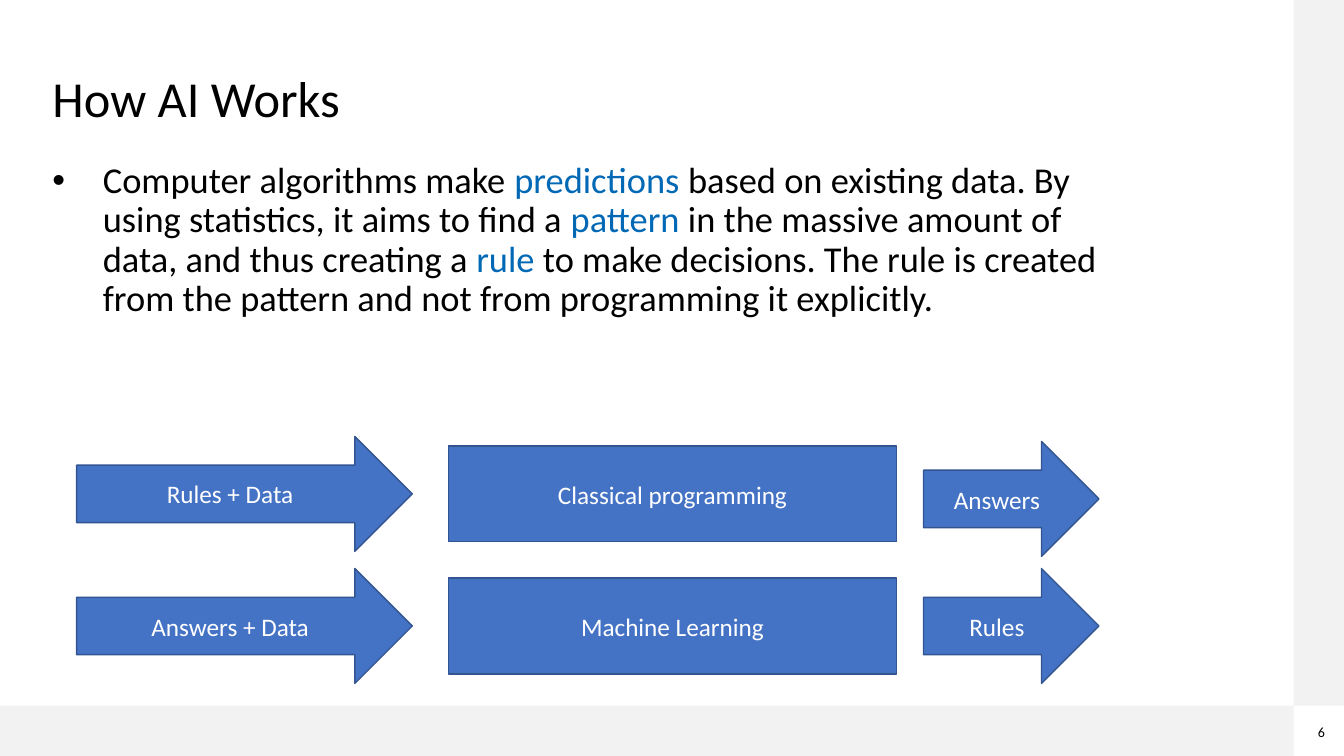
from lxml.etree import SubElement
from pptx import Presentation
from pptx.dml.color import RGBColor
from pptx.enum.shapes import MSO_SHAPE
from pptx.enum.text import MSO_ANCHOR, MSO_AUTO_SIZE, PP_ALIGN
from pptx.oxml.ns import qn
from pptx.util import Inches, Pt

COLORS = {"text": "000000", "accent": "0068B5", "band": "F2F2F2",
          "fill": "4472C4", "line": "325491", "label": "FFFFFF"}
WIDTH, HEIGHT = 13.33, 7.5
BAND = 0.5
FONT = "Calibri"


def color(name):
    return RGBColor.from_string(COLORS[name])


def place(sp, box):
    sp.left, sp.top, sp.width, sp.height = [Inches(v) for v in box]


def add_run(p, text, size, name="text"):
    r = p.add_run()
    r.text = text
    r.font.name = FONT
    r.font.size = Pt(size)
    r.font.color.rgb = color(name)


def add_block(s, kind, box, fill, line=None):
    sp = s.shapes.add_shape(kind, *[Inches(v) for v in box])
    sp.shadow.inherit = False
    sp.fill.solid()
    sp.fill.fore_color.rgb = color(fill)
    if line:
        sp.line.color.rgb = color(line)
        sp.line.width = Pt(1)
    else:
        sp.line.fill.background()
    return sp


def add_label(sp, text, size, name):
    tf = sp.text_frame
    tf.word_wrap = True
    tf.vertical_anchor = MSO_ANCHOR.MIDDLE
    p = tf.paragraphs[0]
    p.alignment = PP_ALIGN.CENTER
    add_run(p, text, size, name)


def add_frame(s, number):
    right, bottom = WIDTH - BAND, HEIGHT - BAND
    add_block(s, MSO_SHAPE.RECTANGLE, (0, bottom, right, BAND), "band")
    add_block(s, MSO_SHAPE.RECTANGLE, (right, 0, BAND, bottom), "band")
    sp = s.shapes.add_textbox(0, 0, 0, 0)
    place(sp, (right, bottom + 0.02, 0.55, 0.48))
    add_label(sp, number, 10, "text")


def add_title(s, box, text):
    sp = s.shapes.title
    place(sp, box)
    tf = sp.text_frame
    tf.auto_size = MSO_AUTO_SIZE.NONE
    tf.vertical_anchor = MSO_ANCHOR.MIDDLE
    p = tf.paragraphs[0]
    p.alignment = PP_ALIGN.LEFT
    p.line_spacing = 0.9
    add_run(p, text, 36)


def add_body(s, box, runs):
    sp = s.placeholders[1]
    place(sp, box)
    tf = sp.text_frame
    tf.auto_size = MSO_AUTO_SIZE.NONE
    p = tf.paragraphs[0]
    pPr = p._p.get_or_add_pPr()
    pPr.set("marL", str(Inches(0.5)))
    pPr.set("indent", str(-Inches(0.5)))
    SubElement(pPr, qn("a:buFont")).set("typeface", "Arial")
    SubElement(pPr, qn("a:buChar")).set("char", "•")
    p.line_spacing = 0.9
    p.space_before = Pt(0)
    for text, name in runs:
        add_run(p, text, 26, name)


def add_flow(s, box, rows):
    left, top, width, height = box
    arrow_h, block_h = 1.14, 0.95
    pitch = height - arrow_h
    arrow, block = MSO_SHAPE.RIGHT_ARROW, MSO_SHAPE.RECTANGLE
    columns = [(arrow, 0, 3.33, arrow_h),
               (block, 3.69, 4.44, block_h),
               (arrow, width - 1.74, 1.74, arrow_h)]
    for i, (labels, output_drop) in enumerate(rows):
        drops = (0, 0, output_drop)
        for (kind, x, w, h), text, drop in zip(columns, labels, drops):
            y = top + i * pitch + (arrow_h - h) / 2 + drop
            sp = add_block(s, kind, (left + x, y, w, h), "fill", "line")
            add_label(sp, text, 18, "label")


def main():
    prs = Presentation()
    prs.slide_width, prs.slide_height = Inches(WIDTH), Inches(HEIGHT)
    s = prs.slides.add_slide(prs.slide_layouts[1])
    add_frame(s, "6")
    add_title(s, (0.42, 0.28, 11.5, 1.45), "How AI Works")
    add_body(s, (0.42, 1.56, 10.87, 4.37), [
        ("Computer algorithms make ", "text"),
        ("predictions", "accent"),
        (" based on existing data. By using statistics, it aims to find a ", "text"),
        ("pattern", "accent"),
        (" in the massive amount of data, and thus creating a ", "text"),
        ("rule", "accent"),
        (" to make decisions. The rule is created from the pattern"
         " and not from programming it explicitly.", "text"),
    ])
    add_flow(s, (0.76, 4.33, 10.14, 2.45), [
        (("Rules + Data", "Classical programming", "Answers"), 0.05),
        (("Answers + Data", "Machine Learning", "Rules"), 0),
    ])
    prs.save("out.pptx")


if __name__ == "__main__":
    main()
